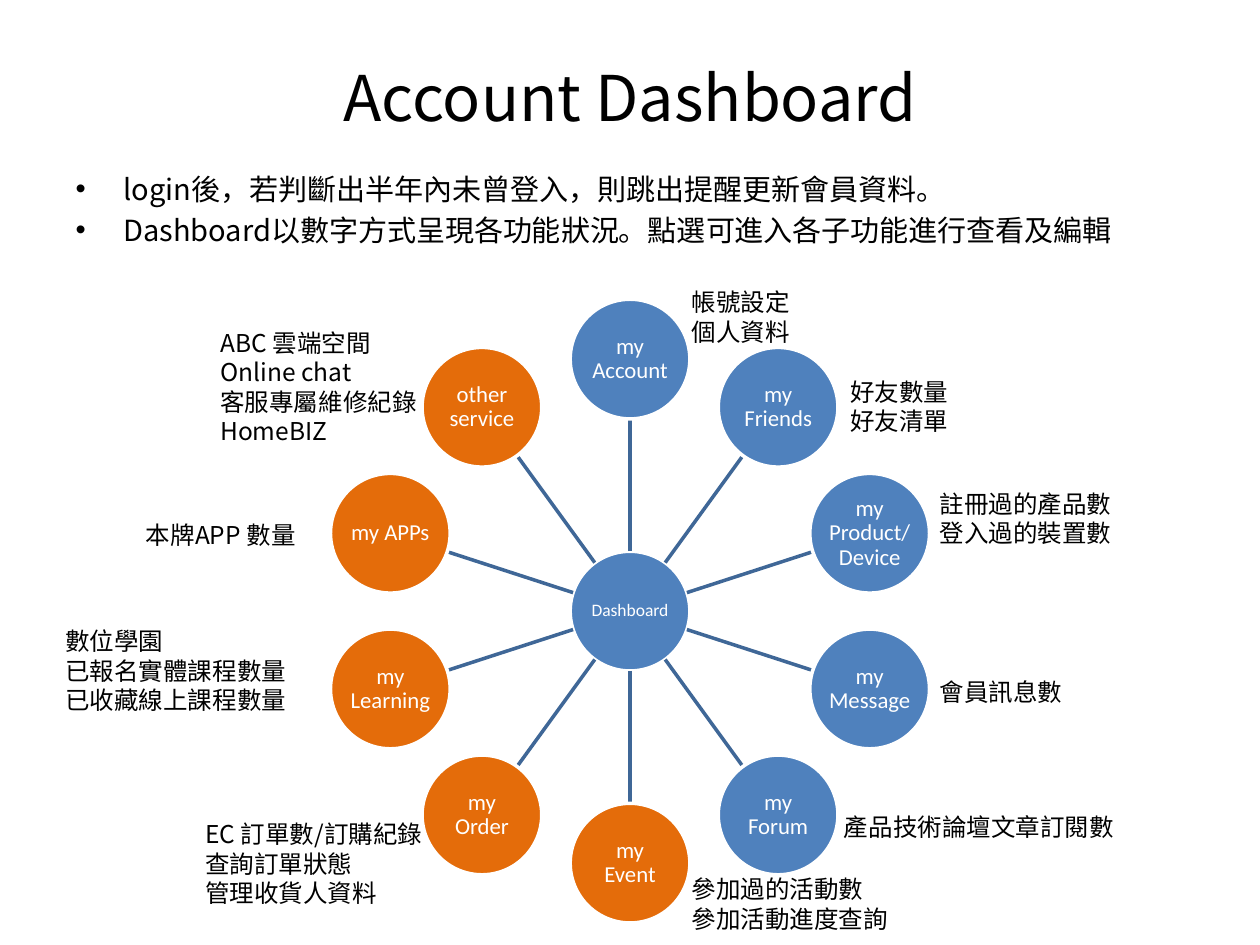
from math import cos, radians, sin

from lxml.etree import SubElement
from pptx import Presentation
from pptx.dml.color import RGBColor
from pptx.enum.shapes import MSO_CONNECTOR as Connector, MSO_SHAPE as Shape
from pptx.enum.text import MSO_ANCHOR as Anchor, MSO_AUTO_SIZE as AutoSize, PP_ALIGN as Align
from pptx.oxml.ns import qn
from pptx.util import Inches, Pt

CJK, LATIN = "Noto Sans CJK SC", "Calibri"
BLUE, ORANGE, SPOKE, WHITE, BLACK = "4F81BD", "E46C0A", "3F6797", "FFFFFF", "000000"
CENTER_X, CENTER_Y, ORBIT, DIAMETER = 5, 4.85, 2, 0.95

TITLE = "Account Dashboard"
BULLETS = [
    "login後，若判斷出半年內未曾登入，則跳出提醒更新會員資料。",
    "Dashboard以數字方式呈現各功能狀況。點選可進入各子功能進行查看及編輯",
]
FEATURES = [
    ("my Account", BLUE),
    ("my Friends", BLUE),
    ("my Product/ Device", BLUE),
    ("my Message", BLUE),
    ("my Forum", BLUE),
    ("my Event", ORANGE),
    ("my Order", ORANGE),
    ("my Learning", ORANGE),
    ("my APPs", ORANGE),
    ("other service", ORANGE),
]
NOTES = [
    (7.36, 3.83, 2.13, ["註冊過的產品數", "登入過的裝置數"]),
    (5.39, 2.23, 1.26, ["帳號設定", "個人資料"]),
    (5.39, 6.89, 2.13, ["參加過的活動數", "參加活動進度查詢"]),
    (7.36, 5.32, 1.5, ["會員訊息數"]),
    (1.65, 2.55, 2.09, ["ABC 雲端空間", "Online chat", "客服專屬維修紀錄", "HomeBIZ"]),
    (1.53, 6.45, 1.95, ["EC 訂單數/訂購紀錄", "查詢訂單狀態", "管理收貨人資料"]),
    (6.65, 2.94, 1.16, ["好友數量", "好友清單"]),
    (0.42, 4.92, 1.97, ["數位學園", "已報名實體課程數量", "已收藏線上課程數量"]),
    (6.6, 6.39, 2.97, ["產品技術論壇文章訂閱數"]),
    (1.06, 4.08, 1.5, ["本牌APP 數量"]),
]


def color(hex_value):
    return RGBColor.from_string(hex_value)


def place(shape, left, top, width, height):
    shape.left, shape.top = Inches(left), Inches(top)
    shape.width, shape.height = Inches(width), Inches(height)


def write(frame, lines, size, font, hex_value, align, spacing):
    frame.text = "\n".join(lines)
    frame.word_wrap = True
    frame.auto_size = AutoSize.NONE
    for paragraph in frame.paragraphs:
        paragraph.alignment = align
        paragraph.line_spacing = spacing
        for run in paragraph.runs:
            run.font.size = Pt(size)
            run.font.name = font
            run.font.color.rgb = color(hex_value)
            SubElement(run.font._element, qn("a:ea"), typeface=font)


def add_circle(slide, x, y, label, fill, size=13):
    corner = DIAMETER / 2
    circle = slide.shapes.add_shape(
        Shape.OVAL, Inches(x - corner), Inches(y - corner), Inches(DIAMETER), Inches(DIAMETER))
    circle.shadow.inherit = False
    circle.fill.solid()
    circle.fill.fore_color.rgb = color(fill)
    circle.line.color.rgb = color(WHITE)
    circle.line.width = Pt(2)
    frame = circle.text_frame
    write(frame, [label], size, LATIN, WHITE, Align.CENTER, 0.9)
    frame.vertical_anchor = Anchor.MIDDLE
    frame.margin_left = frame.margin_right = Inches(0.01)
    frame.margin_top = frame.margin_bottom = Inches(0.01)


def add_spoke(slide, dx, dy):
    inner, outer = DIAMETER / 2, ORBIT - DIAMETER / 2
    ends = [CENTER_X + dx * inner, CENTER_Y + dy * inner,
            CENTER_X + dx * outer, CENTER_Y + dy * outer]
    spoke = slide.shapes.add_connector(Connector.STRAIGHT, *map(Inches, ends))
    spoke.line.color.rgb = color(SPOKE)
    spoke.line.width = Pt(2)
    SubElement(spoke._element.spPr, qn("a:effectLst"))


def main():
    """Build the account dashboard slide."""
    presentation = Presentation()
    presentation.slide_width, presentation.slide_height = Inches(10), Inches(7.5)
    slide = presentation.slides.add_slide(presentation.slide_layouts[1])

    title, body = slide.placeholders
    place(title, 0.5, 0.3, 9, 0.93)
    write(title.text_frame, [TITLE], 36, CJK, BLACK, Align.CENTER, 1.0)
    title.text_frame.vertical_anchor = Anchor.MIDDLE
    place(body, 0.5, 1.31, 9, 0.92)
    write(body.text_frame, BULLETS, 16.6, CJK, BLACK, Align.LEFT, Pt(20))
    for paragraph in body.text_frame.paragraphs:
        properties = paragraph._p.get_or_add_pPr()
        properties.set("marL", str(Inches(0.38)))
        properties.set("indent", str(Inches(-0.38)))

    add_circle(slide, CENTER_X, CENTER_Y, "Dashboard", BLUE, 10)
    for index, (label, fill) in enumerate(FEATURES):
        angle = radians(360 / len(FEATURES) * index - 90)
        dx, dy = cos(angle), sin(angle)
        add_spoke(slide, dx, dy)
        add_circle(slide, CENTER_X + ORBIT * dx, CENTER_Y + ORBIT * dy, label, fill)

    for left, top, width, lines in NOTES:
        height = 0.1 + 0.235 * len(lines)
        note = slide.shapes.add_textbox(Inches(left), Inches(top), Inches(width), Inches(height))
        write(note.text_frame, lines, 14, CJK, BLACK, Align.LEFT, Pt(16.9))

    presentation.save("out.pptx")


if __name__ == "__main__":
    main()
